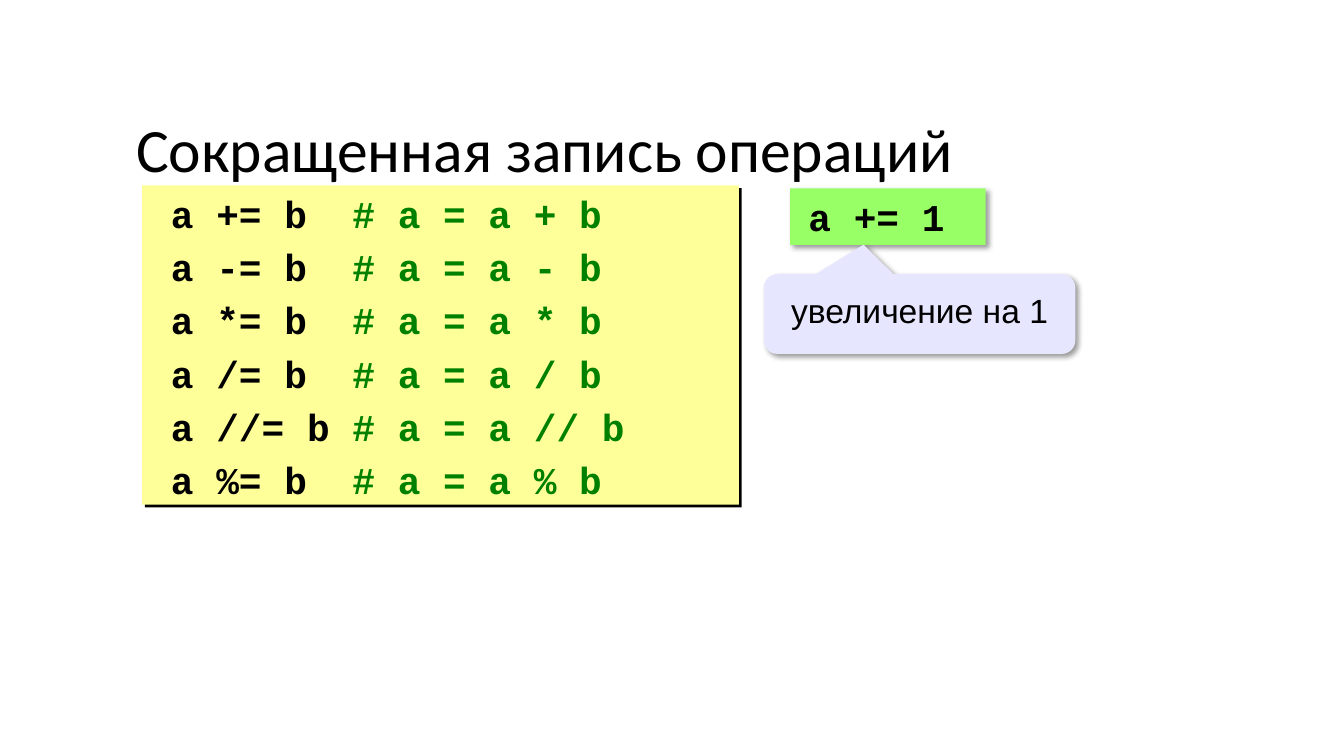
from lxml import etree
from pptx import Presentation
from pptx.dml.color import RGBColor
from pptx.enum.shapes import MSO_SHAPE
from pptx.enum.text import MSO_ANCHOR, PP_ALIGN
from pptx.oxml.ns import qn
from pptx.util import Cm, Pt

RECTANGLE = MSO_SHAPE.RECTANGLE
CALLOUT = MSO_SHAPE.ROUNDED_RECTANGULAR_CALLOUT
TOP, MIDDLE = MSO_ANCHOR.TOP, MSO_ANCHOR.MIDDLE
LEFT, CENTER = PP_ALIGN.LEFT, PP_ALIGN.CENTER


def color(value):
    return RGBColor.from_string(value)


def add_panel(kind, box, fill, anchor, opacity, blur, distance):
    shape = slide.shapes.add_shape(kind, *[Cm(length) for length in box])
    shape.fill.solid()
    shape.fill.fore_color.rgb = color(fill)
    shape.line.fill.background()
    shape.shadow.inherit = False
    effects = shape._element.spPr.find(qn("a:effectLst"))
    shadow = etree.SubElement(
        effects, qn("a:outerShdw"), blurRad=str(Pt(blur)), dist=str(Pt(distance)),
        dir="2700000", algn="tl", rotWithShape="0")
    shade = etree.SubElement(shadow, qn("a:srgbClr"), val="000000")
    etree.SubElement(shade, qn("a:alpha"), val=str(opacity * 1000))
    shape.text_frame.word_wrap = True
    shape.text_frame.vertical_anchor = anchor
    return shape


presentation = Presentation()
presentation.slide_width = Cm(33.87)
presentation.slide_height = Cm(19.05)
slide = presentation.slides.add_slide(presentation.slide_layouts[6])

title = slide.shapes.add_textbox(Cm(3.18), Cm(2.87), Cm(23.27), Cm(1.32))
title.text_frame.word_wrap = True
paragraph = title.text_frame.paragraphs[0]
paragraph.text = "Сокращенная запись операций"
paragraph.line_spacing = 0.9
paragraph.font.name = "Calibri"
paragraph.font.size = Pt(44)
paragraph.font.color.rgb = color("000000")

code = add_panel(RECTANGLE, (3.58, 4.67, 15.04, 8.05), "FFFF99", TOP, 100, 0, 2.8)
for index, operator in enumerate(["+", "-", "*", "/", "//", "%"]):
    frame = code.text_frame
    paragraph = frame.add_paragraph() if index else frame.paragraphs[0]
    paragraph.alignment = LEFT
    paragraph.space_before = Pt(5.7)
    paragraph._p.get_or_add_pPr().set("marL", str(Cm(0.48)))
    paragraph.font.name = "Courier New"
    paragraph.font.size = Pt(27)
    paragraph.font.bold = True
    statement = f"a {operator}= b".ljust(8)
    comment = f"# a = a {operator} b"
    for text, tint in [(statement, "000000"), (comment, "008000")]:
        run = paragraph.add_run()
        run.text = text
        run.font.color.rgb = color(tint)

example = add_panel(RECTANGLE, (19.91, 4.75, 4.93, 1.42), "99FF66", TOP, 40, 4, 3)
callout = add_panel(CALLOUT, (19.25, 6.91, 7.85, 2.01), "E6E6FF", MIDDLE, 40, 4, 3)
for index, value in enumerate([-0.18, -0.87, 0.17]):
    callout.adjustments[index] = value

for shape, text, font, size, bold, spacing in [
    (example, "a += 1 ", "Courier New", 27, True, 1.0),
    (callout, "увеличение на 1", "Arial", 24, False, 0.8),
]:
    paragraph = shape.text_frame.paragraphs[0]
    paragraph.text = text
    paragraph.alignment = CENTER
    paragraph.line_spacing = spacing
    paragraph.font.name = font
    paragraph.font.size = Pt(size)
    paragraph.font.bold = bold
    paragraph.font.color.rgb = color("000000")

presentation.save("out.pptx")
